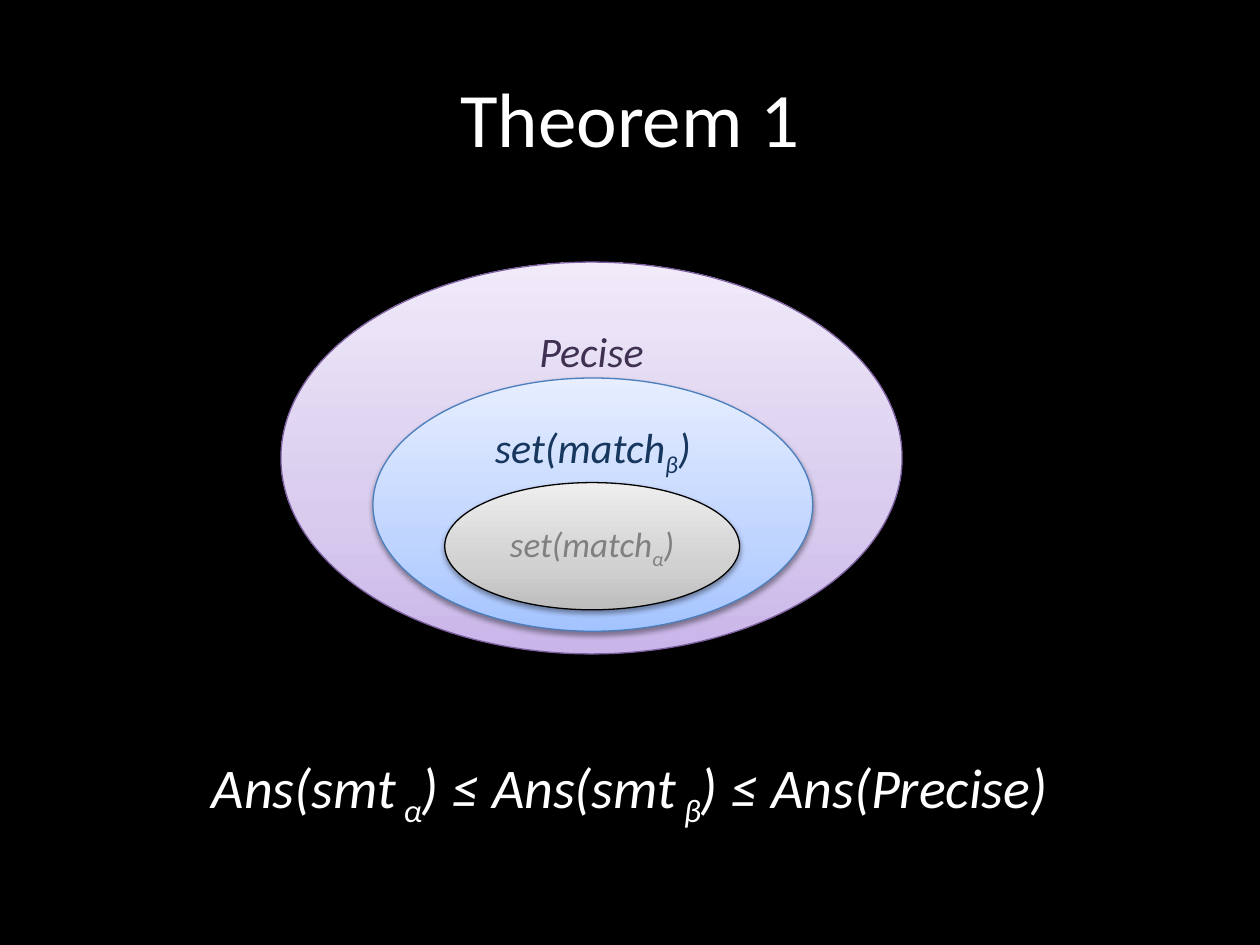
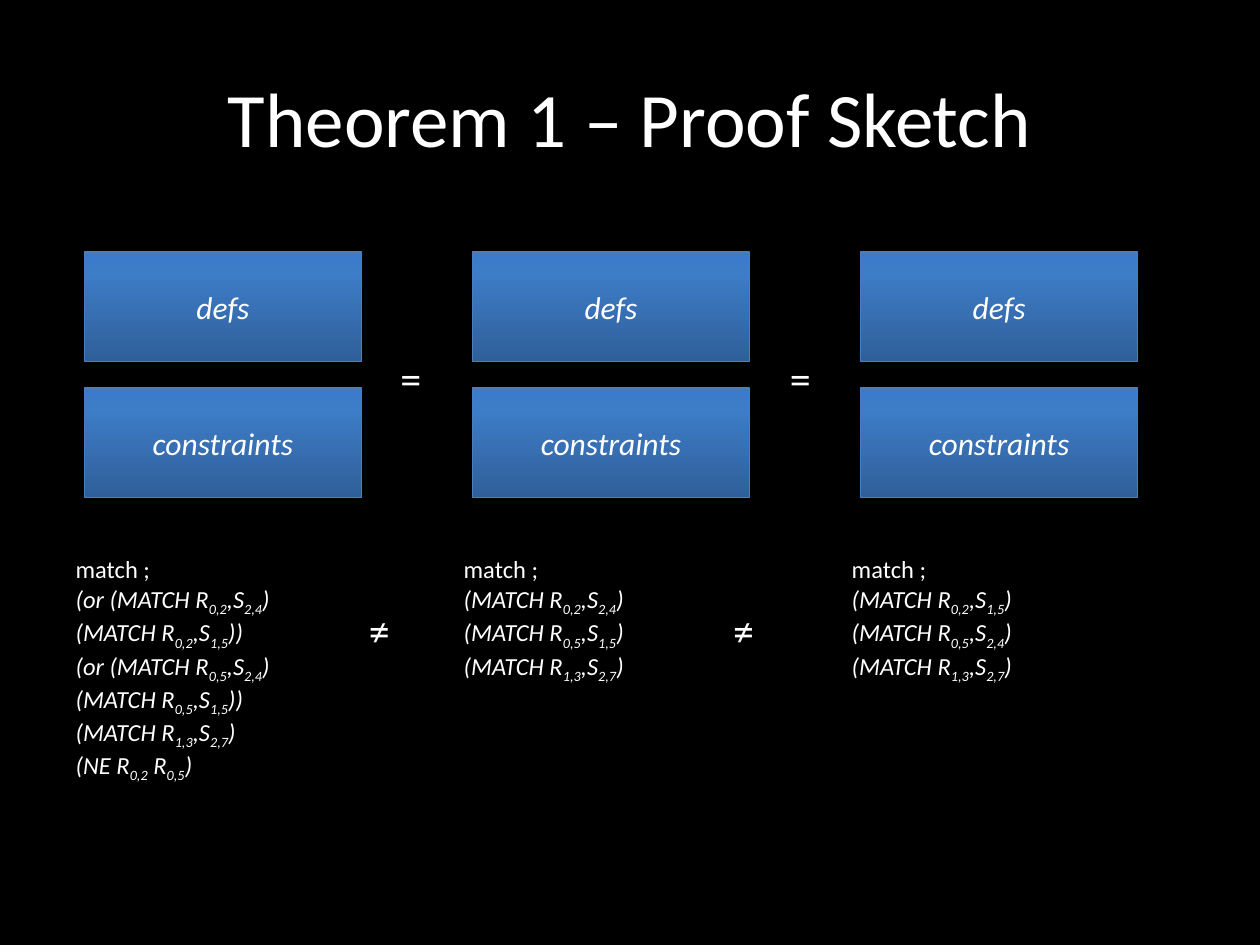
from dataclasses import dataclass
from typing import Any

from lxml import etree
from pptx import Presentation
from pptx.dml.color import RGBColor
from pptx.enum.shapes import MSO_SHAPE
from pptx.enum.text import MSO_ANCHOR, MSO_AUTO_SIZE, PP_ALIGN
from pptx.oxml import parse_xml
from pptx.oxml.ns import nsdecls, qn
from pptx.util import Inches, Pt

BLACK = RGBColor(0x00, 0x00, 0x00)
WHITE = RGBColor(0xFF, 0xFF, 0xFF)
GRAY = RGBColor(0x80, 0x80, 0x80)
PURPLE = RGBColor(0x7D, 0x60, 0xA0)
DARK_PURPLE = RGBColor(0x40, 0x31, 0x52)
BLUE = RGBColor(0x4B, 0x7E, 0xBC)
NAVY = RGBColor(0x17, 0x37, 0x5E)

FONT = "Calibri"
TITLE_ONLY = 5
NO_TABLE_STYLE = "{2D5ABB26-0587-4C30-8999-92F81FD0307C}"

Gradient = tuple[tuple[int, RGBColor], ...]


def gradient(middle: int, *colors: str) -> Gradient:
    return tuple(zip((0, middle, 100), map(RGBColor.from_string, colors)))


@dataclass(frozen=True)
class Look:
    preset: MSO_SHAPE
    gradient: Gradient
    line: RGBColor
    text: RGBColor
    size: int
    anchor: MSO_ANCHOR
    shadow_alpha: int
    shadow_distance: float


@dataclass(frozen=True)
class MatchSet:
    label: str
    left: float
    top: float
    width: float
    height: float
    look: Look


def ellipse_look(colors: Gradient, line: RGBColor, text: RGBColor, size: int,
                 anchor: MSO_ANCHOR) -> Look:
    return Look(MSO_SHAPE.OVAL, colors, line, text, size, anchor, 38, 1.6)


MATCH_SETS = (
    MatchSet("Pecise", 2.23, 2.08, 4.93, 3.11, ellipse_look(
        gradient(35, "C9B5E8", "D8CBEE", "F0EAF9"), PURPLE, DARK_PURPLE, 24, MSO_ANCHOR.TOP)),
    MatchSet("set(match{β})", 2.96, 3, 3.49, 2.01, ellipse_look(
        gradient(35, "A4C4FF", "BFD4FF", "E6EEFF"), BLUE, NAVY, 24, MSO_ANCHOR.TOP)),
    MatchSet("set(match{α})", 3.53, 3.83, 2.34, 1.01, ellipse_look(
        gradient(35, "BDBDBD", "D1D1D1", "EEEEEE"), BLACK, GRAY, 20, MSO_ANCHOR.MIDDLE)),
)
FORMULA_BOX = Look(MSO_SHAPE.RECTANGLE, gradient(80, "2F5F99", "3D7CC7", "3A7CCB"),
                   BLUE, WHITE, 18, MSO_ANCHOR.MIDDLE, 35, 1.8)

COLUMN_PITCH = 3.08
BOX_LEFT = 0.67
BOX_ROWS = (("defs", 2), ("constraints", 3.08))
RELATIONS = (("=", 3.08, 2.75), ("=", 6.17, 2.75), ("≠", 2.83, 4.75), ("≠", 5.72, 4.75))
MATCH_COLUMNS = (
    ("(or (MATCH R{0,2},S{2,4})", "(MATCH R{0,2},S{1,5}))",
     "(or (MATCH R{0,5},S{2,4})", "(MATCH R{0,5},S{1,5}))",
     "(MATCH R{1,3},S{2,7})", "(NE R{0,2} R{0,5})"),
    ("(MATCH R{0,2},S{2,4})", "(MATCH R{0,5},S{1,5})", "(MATCH R{1,3},S{2,7})"),
    ("(MATCH R{0,2},S{1,5})", "(MATCH R{0,5},S{2,4})", "(MATCH R{1,3},S{2,7})"),
)


def write(paragraph: Any, text: str, size: int, color: RGBColor = WHITE,
          italic: bool = False, align: PP_ALIGN = PP_ALIGN.CENTER) -> None:
    paragraph.alignment = align
    font_format = {"name": FONT, "size": Pt(size), "italic": italic}
    for index, part in enumerate(text.replace("}", "{").split("{")):
        if not part:
            continue
        run = paragraph.add_run()
        run.text = part
        for name, value in font_format.items():
            setattr(run.font, name, value)
        run.font.color.rgb = color
        if index % 2:
            run._r.get_or_add_rPr().set("baseline", "-25000")


def add_titled_slide(presentation: Any, title: str) -> Any:
    slide = presentation.slides.add_slide(presentation.slide_layouts[TITLE_ONLY])
    placeholder = slide.shapes.title
    box = {"left": 0.5, "top": 0.3, "width": 9, "height": 1.25}
    for name, value in box.items():
        setattr(placeholder, name, Inches(value))
    placeholder.text_frame.vertical_anchor = MSO_ANCHOR.MIDDLE
    write(placeholder.text_frame.paragraphs[0], title, 44)
    return slide


def add_text(slide: Any, text: str, left: float, top: float, width: float, height: float,
             size: int, **text_format: Any) -> Any:
    shape = slide.shapes.add_textbox(Inches(left), Inches(top), Inches(width), Inches(height))
    write(shape.text_frame.paragraphs[0], text, size, **text_format)
    return shape.text_frame


def add_look(shapes: Any, label: str, left: float, top: float, width: float, height: float,
             look: Look) -> None:
    shape = shapes.add_shape(look.preset, Inches(left), Inches(top), Inches(width), Inches(height))
    shape.line.color.rgb = look.line
    shape.line.width = Pt(0.75)
    stops = "".join(f'<a:gs pos="{position * 1000}"><a:srgbClr val="{color}"/></a:gs>'
                    for position, color in look.gradient)
    properties = shape._element.spPr
    properties.find(qn("a:prstGeom")).addnext(parse_xml(
        f'<a:gradFill {nsdecls("a")} rotWithShape="1"><a:gsLst>{stops}</a:gsLst>'
        '<a:lin ang="16200000" scaled="0"/></a:gradFill>'))
    shape.shadow.inherit = False
    shadow = etree.SubElement(
        properties.find(qn("a:effectLst")), qn("a:outerShdw"), blurRad=str(Pt(3.1)),
        dist=str(Pt(look.shadow_distance)), dir="5400000", rotWithShape="0")
    color = etree.SubElement(shadow, qn("a:srgbClr"), val=str(BLACK))
    etree.SubElement(color, qn("a:alpha"), val=str(look.shadow_alpha * 1000))
    shape.text_frame.word_wrap = True
    shape.text_frame.vertical_anchor = look.anchor
    write(shape.text_frame.paragraphs[0], label, look.size, look.text, italic=True)


def add_match_table(slide: Any) -> None:
    table = slide.shapes.add_table(1, len(MATCH_COLUMNS), Inches(0.5), Inches(1.75),
                                   Inches(9), Inches(5.17)).table
    table.first_row = table.horz_banding = False
    table._tbl.tblPr.find(qn("a:tableStyleId")).text = NO_TABLE_STYLE
    widths = (COLUMN_PITCH, COLUMN_PITCH, 9 - 2 * COLUMN_PITCH)
    for index, (width, lines) in enumerate(zip(widths, MATCH_COLUMNS)):
        table.columns[index].width = Inches(width)
        cell = table.cell(0, index)
        cell.fill.background()
        cell.margin_top = Inches(2.66)
        frame = cell.text_frame
        write(frame.paragraphs[0], "match ;", 14, align=PP_ALIGN.LEFT)
        for line in lines:
            write(frame.add_paragraph(), line, 14, italic=True, align=PP_ALIGN.LEFT)


def build_theorem(presentation: Any) -> None:
    slide = add_titled_slide(presentation, "Theorem 1")
    frame = add_text(slide, "Ans(smt{ α}) ≤ Ans(smt{ β}) ≤ Ans(Precise)",
                     0.5, 5.92, 9, 0.78, 32, italic=True)
    frame.word_wrap = True
    group = slide.shapes.add_group_shape()
    for item in MATCH_SETS:
        add_look(group.shapes, item.label, item.left, item.top, item.width, item.height, item.look)


def build_proof_sketch(presentation: Any) -> None:
    slide = add_titled_slide(presentation, "Theorem 1 – Proof Sketch")
    add_match_table(slide)
    for column in range(len(MATCH_COLUMNS)):
        for label, top in BOX_ROWS:
            add_look(slide.shapes, label, BOX_LEFT + column * COLUMN_PITCH, top,
                     2.2, 0.87, FORMULA_BOX)
    for symbol, left, top in RELATIONS:
        frame = add_text(slide, symbol, left, top, 0.39, 0.5, 24, align=PP_ALIGN.LEFT)
        frame.word_wrap = False
        frame.auto_size = MSO_AUTO_SIZE.SHAPE_TO_FIT_TEXT


def main() -> None:
    presentation = Presentation()
    presentation.slide_width = Inches(10)
    presentation.slide_height = Inches(7.5)
    background = presentation.slide_master.background.fill
    background.solid()
    background.fore_color.rgb = BLACK
    build_theorem(presentation)
    build_proof_sketch(presentation)
    presentation.save("out.pptx")


if __name__ == "__main__":
    main()
